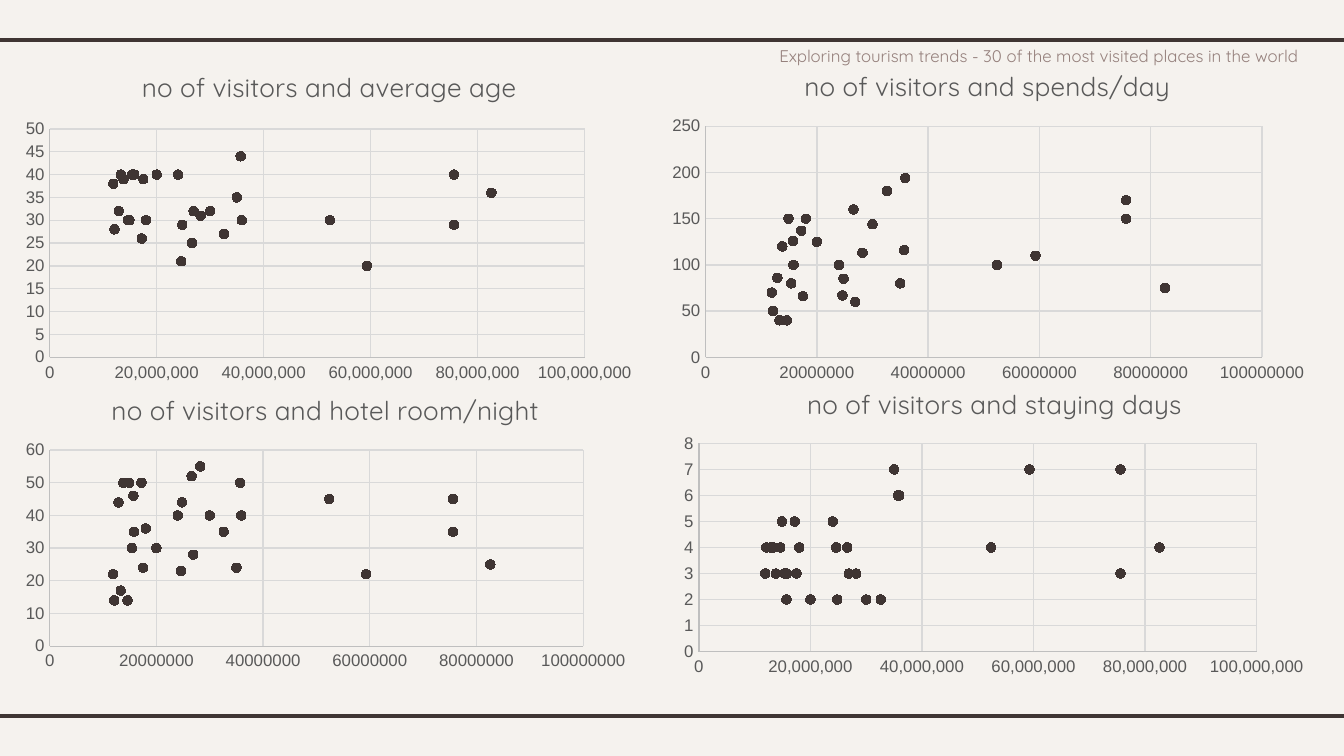
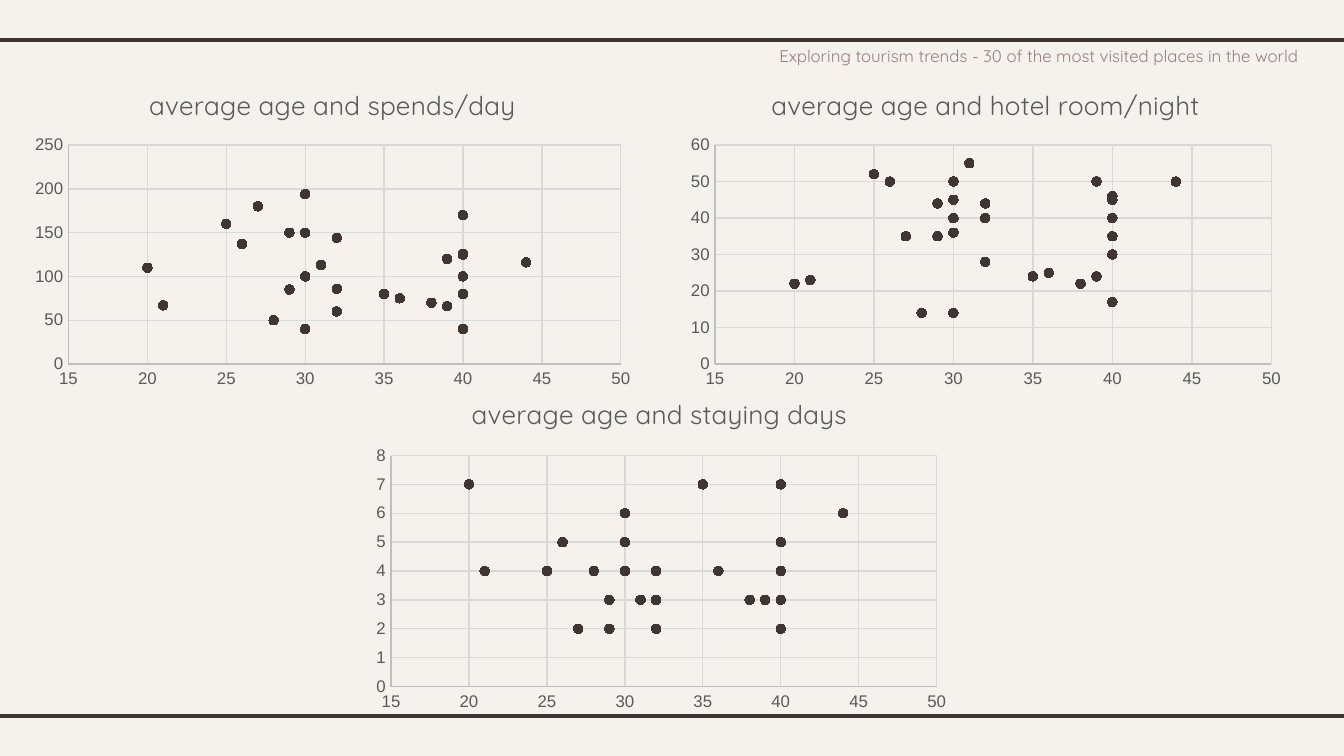
from lxml.etree import SubElement
from pptx import Presentation
from pptx.chart.data import XyChartData
from pptx.dml.color import RGBColor
from pptx.enum.chart import XL_CHART_TYPE as ChartType
from pptx.enum.chart import XL_MARKER_STYLE as Marker
from pptx.enum.chart import XL_TICK_MARK as TickMark
from pptx.enum.shapes import MSO_CONNECTOR as Connector
from pptx.enum.text import MSO_AUTO_SIZE as AutoSize
from pptx.oxml.ns import qn
from pptx.util import Inches, Pt

PAPER, INK, HEADER = "F5F2EE", "3F3533", "95807C"
GREY, AXIS_LINE, GRID_LINE, BLACK = "595959", "BFBFBF", "D9D9D9", "000000"
HEADING_FONT, BODY_FONT = "Quicksand", "Arial"

HEADER_TEXT = "Exploring tourism trends - 30 of the most visited places in the world"
BAND_HEIGHTS = (5.33, 0.3)
TITLE_DROP = 0.09  # from the top of a chart to its title
TITLE_INSET = 0.04  # space left of the title text

# One entry per place, in the same order in every list
VISITORS = [round(million * 1_000_000) for million in (
    82.6, 75.6, 75.6, 59.3, 52.4, 35.9, 35.7, 35, 32.6, 30,
    28.2, 26.9, 26.6, 24.8, 24.6, 24, 20, 18, 17.5, 17.2,
    15.8, 15.7, 15.4, 14.9, 14.6, 13.8, 13.3, 12.9, 12.1, 11.9)]
AGE = [36, 40, 29, 20, 30, 30, 44, 35, 27, 32, 31, 32, 25, 29, 21,
       40, 40, 30, 39, 26, 40, 40, 40, 30, 30, 39, 40, 32, 28, 38]
SPENDS = [75, 170, 150, 110, 100, 194, 116, 80, 180, 144, 113, 60, 160, 85, 67,
          100, 125, 150, 66, 137, 100, 126, 80, 150, 40, 120, 40, 86, 50, 70]
HOTEL = [25, 45, 35, 22, 45, 40, 50, 24, 35, 40, 55, 28, 52, 44, 23,
         40, 30, 36, 24, 50, 35, 46, 30, 50, 14, 50, 17, 44, 14, 22]
DAYS = [4, 7, 3, 7, 4, 6, 6, 7, 2, 2, 3, 3, 4, 2, 4,
        5, 2, 4, 3, 5, 3, 2, 3, 5, 4, 3, 4, 4, 4, 3]

# Axis scales: minimum, maximum, step, number format
VISITOR_SCALE = (0, 100_000_000, 20_000_000, "0")
VISITOR_COMMA_SCALE = (0, 100_000_000, 20_000_000, "#,##0")
AGE_SCALE = (15, 50, 5, "0")
AGE_UP_SCALE = (0, 50, 5, "0")
SPENDS_SCALE = (0, 250, 50, "0")
HOTEL_SCALE = (0, 60, 10, "0")
DAYS_SCALE = (0, 8, 1, "0")

# Each chart: title, title width, chart frame, plot frame, (x, scale), (y, scale)
SLIDES = [
    [
        ("no of visitors and average age", 2.78,
         (0.1, 0.38, 4.7, 2.52), (0.37, 0.96, 3.98, 1.7),
         (VISITORS, VISITOR_COMMA_SCALE), (AGE, AGE_UP_SCALE)),
        ("no of visitors and spends/day", 2.72,
         (4.9, 0.37, 4.9, 2.53), (5.25, 0.94, 4.14, 1.72),
         (VISITORS, VISITOR_SCALE), (SPENDS, SPENDS_SCALE)),
        ("no of visitors and hotel room/night", 3.18,
         (0.1, 2.78, 4.65, 2.26), (0.37, 3.35, 3.97, 1.46),
         (VISITORS, VISITOR_SCALE), (HOTEL, HOTEL_SCALE)),
        ("no of visitors and staying days", 2.78,
         (5, 2.74, 4.8, 2.35), (5.2, 3.3, 4.15, 1.55),
         (VISITORS, VISITOR_COMMA_SCALE), (DAYS, DAYS_SCALE)),
    ],
    [
        ("average age and spends/day", 2.72,
         (0.17, 0.51, 4.61, 2.44), (0.51, 1.08, 4.11, 1.63),
         (AGE, AGE_SCALE), (SPENDS, SPENDS_SCALE)),
        ("average age and hotel room/night", 3.18,
         (5.05, 0.51, 4.57, 2.44), (5.32, 1.08, 4.14, 1.63),
         (AGE, AGE_SCALE), (HOTEL, HOTEL_SCALE)),
        ("average age and staying days", 2.82,
         (2.72, 2.81, 4.41, 2.54), (2.91, 3.39, 4.06, 1.72),
         (AGE, AGE_SCALE), (DAYS, DAYS_SCALE)),
    ],
]


def color(hex_text):
    return RGBColor.from_string(hex_text)


def format_font(font, name, size, hex_text):
    for key, value in {"name": name, "size": Pt(size), "bold": False}.items():
        setattr(font, key, value)
    font.color.rgb = color(hex_text)


def format_line(line, hex_text, width):
    line.color.rgb = color(hex_text)
    line.width = Pt(width)


def set_layout(parent, index, values):
    """Replace the automatic layout of a chart part by fractions of the chart."""
    for old in parent.findall(qn("c:layout")):
        parent.remove(old)
    layout = SubElement(parent, qn("c:layout"))
    parent.insert(index, layout)
    manual = SubElement(layout, qn("c:manualLayout"))
    for key, value in values.items():
        SubElement(manual, qn(f"c:{key}")).set("val", str(value))


def place_parts(chart, title_width, frame, plot):
    left, top, width, height = frame
    plot_left, plot_top, plot_width, plot_height = plot
    set_layout(chart.element.xpath("c:chart/c:title")[0], 1, {
        "xMode": "edge", "yMode": "edge",
        "x": ((width - title_width) / 2 - TITLE_INSET) / width,
        "y": TITLE_DROP / height})
    set_layout(chart.element.xpath("c:chart/c:plotArea")[0], 0, {
        "layoutTarget": "inner", "xMode": "edge", "yMode": "edge",
        "x": (plot_left - left) / width, "y": (plot_top - top) / height,
        "w": plot_width / width, "h": plot_height / height})


def format_axis(axis, scale):
    minimum, maximum, step, number_format = scale
    settings = {
        "minimum_scale": minimum, "maximum_scale": maximum, "major_unit": step,
        "major_tick_mark": TickMark.NONE, "minor_tick_mark": TickMark.NONE,
        "has_major_gridlines": True, "has_minor_gridlines": False,
    }
    for key, value in settings.items():
        setattr(axis, key, value)
    labels = axis.tick_labels
    labels.number_format = number_format
    labels.number_format_is_linked = False
    format_font(labels.font, BODY_FONT, 9, GREY)
    format_line(axis.format.line, AXIS_LINE, 0.75)
    format_line(axis.major_gridlines.format.line, GRID_LINE, 0.75)


def add_scatter(slide, title, title_width, frame, plot, across, up):
    data = XyChartData()
    points = data.add_series("Series 1")
    for x, y in zip(across[0], up[0]):
        points.add_data_point(x, y)
    chart = slide.shapes.add_chart(
        ChartType.XY_SCATTER, *map(Inches, frame), data).chart
    chart.has_legend = False
    format_font(chart.font, BODY_FONT, 10, BLACK)

    chart.has_title = True
    para = chart.chart_title.text_frame.paragraphs[0]
    span = para.add_run()
    span.text = title
    format_font(span.font, HEADING_FONT, 14, GREY)

    format_axis(chart.category_axis, across[1])
    format_axis(chart.value_axis, up[1])
    chart.plots[0].vary_by_categories = False
    series = chart.plots[0].series[0]
    series.smooth = False
    series.format.line.fill.background()
    marker = series.marker
    marker.style, marker.size = Marker.CIRCLE, 5
    marker.format.fill.solid()
    marker.format.fill.fore_color.rgb = color(INK)
    format_line(marker.format.line, INK, 0.75)
    place_parts(chart, title_width, frame, plot)


def add_bands(slide):
    for height in BAND_HEIGHTS:
        band = slide.shapes.add_connector(
            Connector.STRAIGHT, *map(Inches, (-0.08, height, 10.08, height)))
        format_line(band.line, INK, 2.25)
        SubElement(band.element.spPr, qn("a:effectLst"))


def add_header(slide):
    box = slide.shapes.add_textbox(*map(Inches, (5.7, 0.29, 4.3, 0.42)))
    frame = box.text_frame
    frame.word_wrap = False
    frame.auto_size = AutoSize.SHAPE_TO_FIT_TEXT
    span = frame.paragraphs[0].add_run()
    span.text = HEADER_TEXT
    format_font(span.font, HEADING_FONT, 9, HEADER)


def main():
    deck = Presentation()
    deck.slide_width = Inches(10)
    deck.slide_height = deck.slide_width * 9 // 16
    paper = deck.slide_master.background.fill
    paper.solid()
    paper.fore_color.rgb = color(PAPER)
    for charts in SLIDES:
        slide = deck.slides.add_slide(deck.slide_layouts[6])
        add_bands(slide)
        for chart in charts:
            add_scatter(slide, *chart)
        add_header(slide)
    deck.save("out.pptx")


if __name__ == "__main__":
    main()
